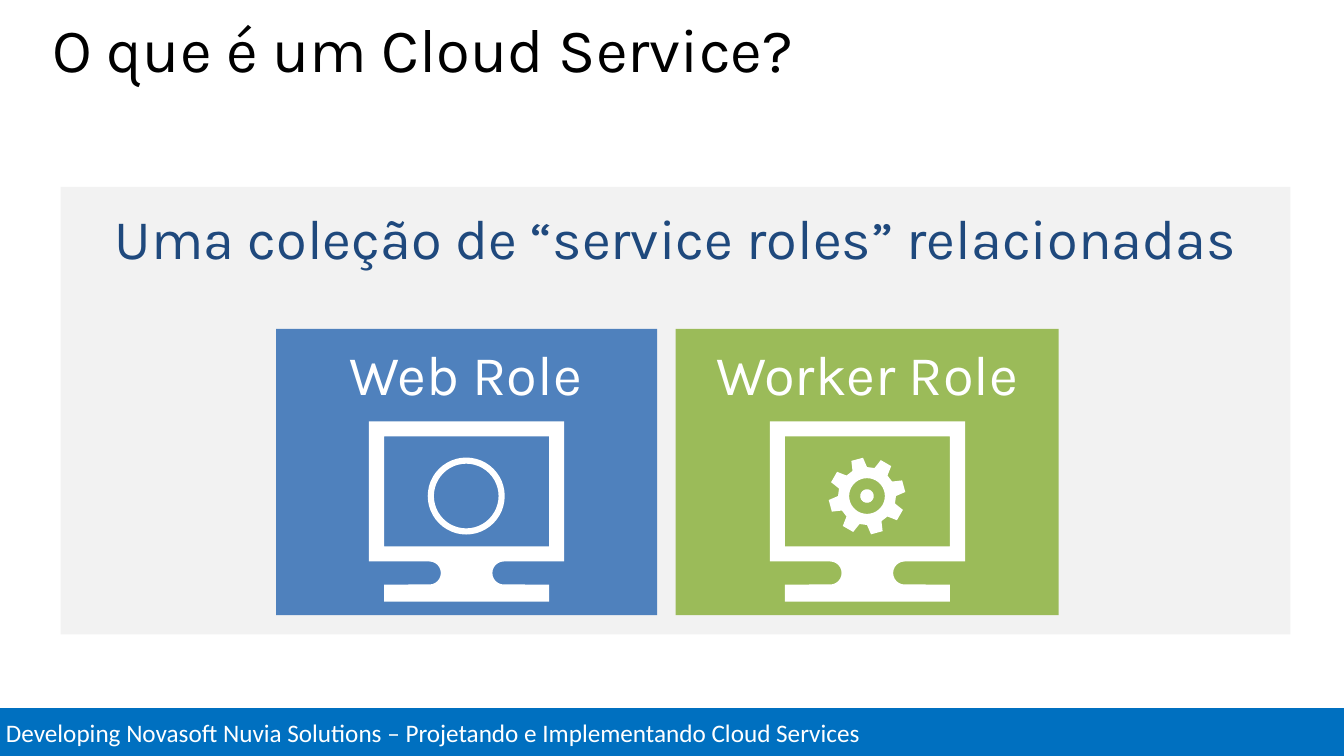
from math import cos, radians, sin

from pptx import Presentation
from pptx.dml.color import RGBColor
from pptx.enum.shapes import MSO_SHAPE as Preset
from pptx.enum.text import MSO_ANCHOR as Anchor, MSO_AUTO_SIZE as AutoSize, PP_ALIGN as Align
from pptx.util import Cm, Pt

WHITE = "FFFFFF"


def paint(shape, fill, line=None):
    """Give a shape a solid fill, no shadow and an optional 2 pt outline."""
    shape.shadow.inherit = False
    shape.fill.solid()
    shape.fill.fore_color.rgb = RGBColor.from_string(fill)
    if line:
        shape.line.color.rgb = RGBColor.from_string(line)
        shape.line.width = Pt(2)
    else:
        shape.line.fill.background()


def write(shape, text, size, color, font="Karla", frame_format=None, paragraph_format=None):
    """Put one formatted paragraph into a shape."""
    frame = shape.text_frame
    frame.text = text
    paragraph = frame.paragraphs[0]
    for target, values in (
        (frame, {"word_wrap": True, "auto_size": AutoSize.NONE, **(frame_format or {})}),
        (paragraph, paragraph_format or {}),
        (paragraph.runs[0].font, {"name": font, "size": Pt(size)}),
    ):
        for name, value in values.items():
            setattr(target, name, value)
    paragraph.runs[0].font.color.rgb = RGBColor.from_string(color)


prs = Presentation()
prs.slide_width, prs.slide_height = Cm(33.87), Cm(19.05)
slide = prs.slides.add_slide(prs.slide_layouts[5])
shapes = slide.shapes

# Title
title = shapes.title
title.left, title.top, title.width, title.height = Cm(1.07), Cm(0.51), Cm(32), Cm(2.95)
write(title, "O que é um Cloud Service?", 44, "000000",
      frame_format={"vertical_anchor": Anchor.TOP},
      paragraph_format={"alignment": Align.LEFT, "line_spacing": 0.8})

# Footer band
footer = shapes.add_shape(Preset.RECTANGLE, Cm(-0.1), Cm(17.8), Cm(34.04), Cm(1.3))
paint(footer, "0070C0", WHITE)
write(footer, "Developing Novasoft Nuvia Solutions – Projetando e Implementando Cloud Services",
      18, WHITE, "Calibri", {"vertical_anchor": Anchor.MIDDLE}, {"alignment": Align.LEFT})

# Panel with its heading
panel = shapes.add_shape(Preset.RECTANGLE, Cm(1.53), Cm(4.71), Cm(30.99), Cm(11.28))
paint(panel, "F2F2F2")
no_margins = dict.fromkeys(("margin_left", "margin_top", "margin_right", "margin_bottom"), 0)
heading = shapes.add_textbox(Cm(1.53), Cm(5.13), Cm(30.99), Cm(1.7))
write(heading, "Uma coleção de “service roles” relacionadas", 40, "1F497D",
      frame_format=no_margins,
      paragraph_format={"alignment": Align.CENTER, "space_before": Pt(12)})

# Monitor outline, in cm from its top left corner
WIDTH, BEZEL, CASE_BOTTOM, BASE_TOP, BASE_BOTTOM = 4.92, 0.38, 3.53, 4.11, 4.54
NOTCH_X, NOTCH_Y, NOTCH_RADIUS = 1.52, 3.82, 0.29
notch = [(NOTCH_X + NOTCH_RADIUS * cos(radians(a)), NOTCH_Y + NOTCH_RADIUS * sin(radians(a)))
         for a in range(90, -91, -15)]
left_half = [(BEZEL, BASE_BOTTOM), (BEZEL, BASE_TOP), *notch, (0, CASE_BOTTOM), (0, 0)]
monitor_outline = left_half + [(WIDTH - x, y) for x, y in reversed(left_half)]
screen_right, screen_bottom = WIDTH - BEZEL, CASE_BOTTOM - BEZEL
screen = [(BEZEL, BEZEL), (screen_right, BEZEL),
          (screen_right, screen_bottom), (BEZEL, screen_bottom)]

# Gear outline around the middle of the screen
ICON_X, ICON_Y, ICON_RADIUS = 2.45, 1.88, 0.97
tooth = ((-15, 0.73), (-9, ICON_RADIUS), (9, ICON_RADIUS), (15, 0.73))
gear_outline = [(start + turn, radius) for start in range(-105, 255, 45) for turn, radius in tooth]
gear_hole = [(angle, 0.45) for angle in range(0, 360, 10)]
gear_hub = [(angle, 0.17) for angle in range(0, 360, 15)]
gear = [[(ICON_X + r * cos(radians(a)), ICON_Y + r * sin(radians(a))) for a, r in ring]
        for ring in (gear_outline, gear_hole, gear_hub)]

# Role cards: label, colour, card left and width, label left, monitor left, icon outlines
roles = (
    ("Web Role", "4F81BD", 6.96, 9.6, 6.91, 9.3, None),
    ("Worker Role", "9BBB59", 17.03, 9.65, 17.03, 19.4, gear),
)
MONITOR_TOP = 10.62
for label, color, card_left, card_width, label_left, monitor_left, icon in roles:
    card = shapes.add_shape(Preset.RECTANGLE, Cm(card_left), Cm(8.29), Cm(card_width), Cm(7.21))
    paint(card, color)
    caption = shapes.add_textbox(Cm(label_left), Cm(8.74), Cm(9.65), Cm(1.55))
    write(caption, label, 40, WHITE, frame_format=no_margins,
          paragraph_format={"alignment": Align.CENTER, "line_spacing": 0.9, "space_before": Pt(8)})

    for outlines in filter(None, ([monitor_outline, screen], icon)):
        outer, *inner = [[(Cm(monitor_left + x), Cm(MONITOR_TOP + y)) for x, y in outline]
                         for outline in outlines]
        builder = shapes.build_freeform(*outer[0])
        builder.add_line_segments(outer[1:])
        for contour in inner:
            builder.move_to(*contour[0])
            builder.add_line_segments(contour[1:])
        paint(builder.convert_to_shape(), WHITE)

    if icon is None:
        globe = shapes.add_shape(
            Preset.DONUT, Cm(monitor_left + ICON_X - ICON_RADIUS),
            Cm(MONITOR_TOP + ICON_Y - ICON_RADIUS), Cm(2 * ICON_RADIUS), Cm(2 * ICON_RADIUS))
        globe.adjustments[0] = 0.08
        paint(globe, WHITE)

prs.save("out.pptx")
